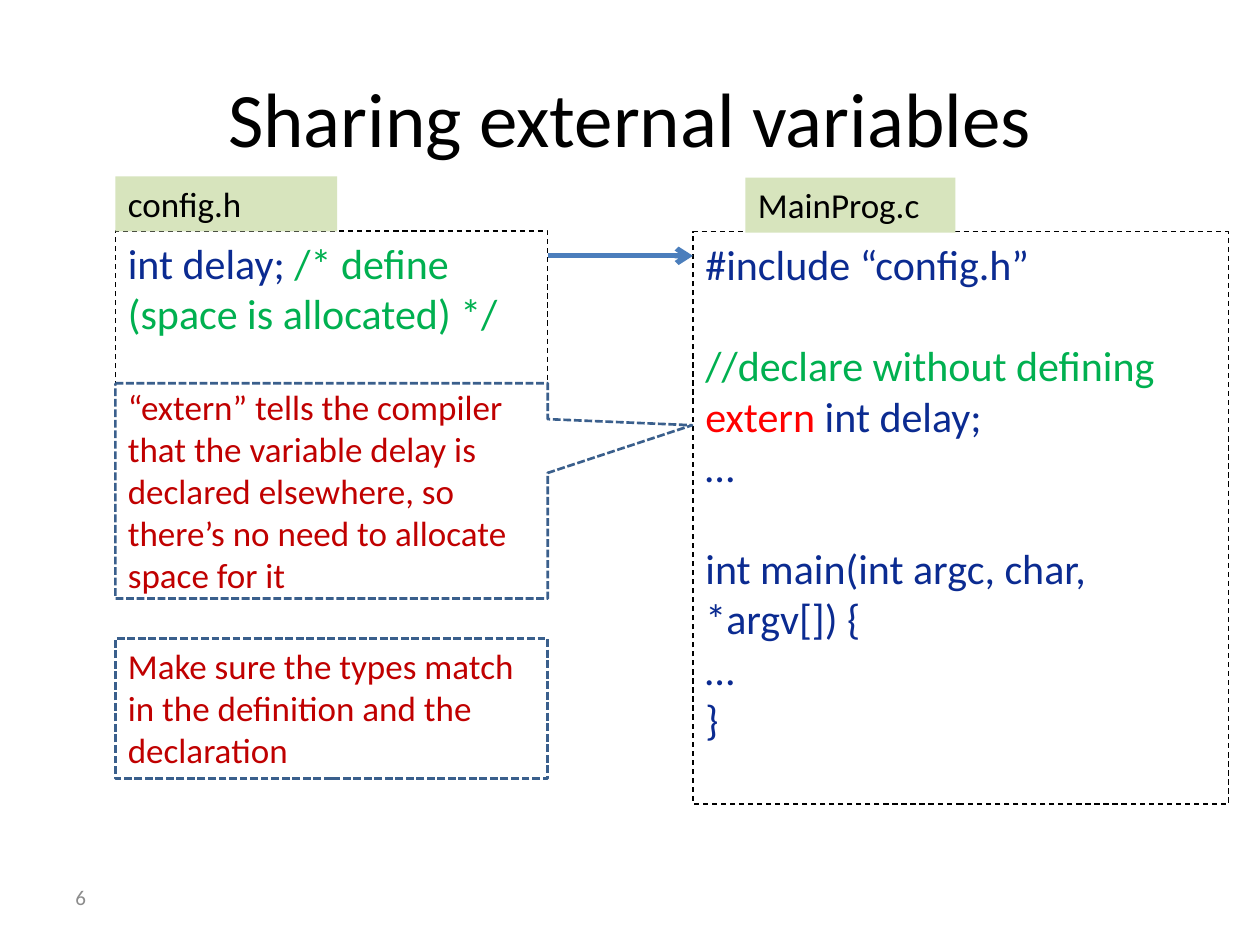
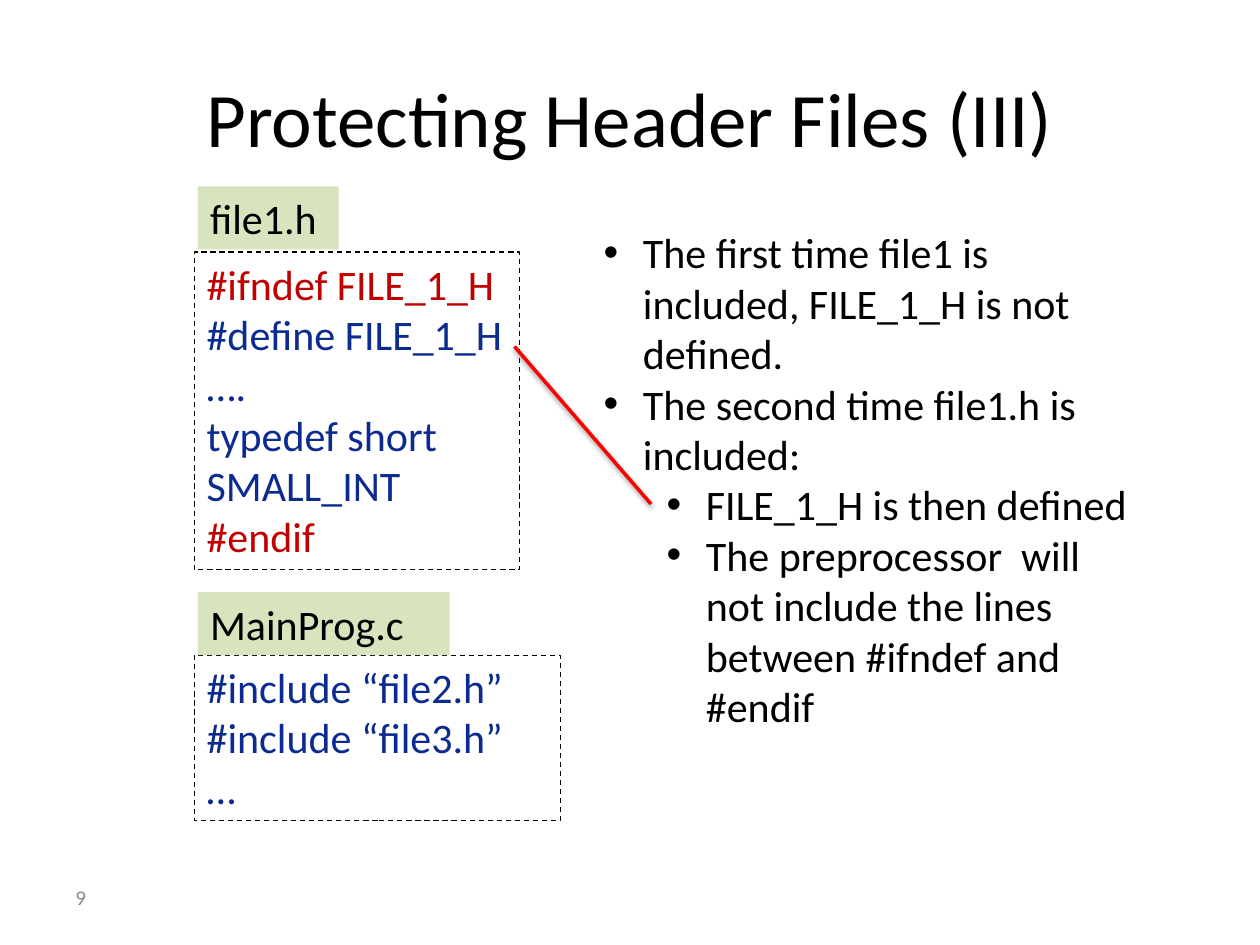
"""Build two slides about sharing variables and protecting header files in C."""
from dataclasses import dataclass

from lxml import etree
from pptx import Presentation
from pptx.dml.color import RGBColor
from pptx.enum.dml import MSO_LINE
from pptx.enum.shapes import MSO_CONNECTOR, MSO_SHAPE
from pptx.enum.text import MSO_ANCHOR, MSO_AUTO_SIZE, PP_ALIGN
from pptx.oxml.ns import qn
from pptx.util import Pt


@dataclass(frozen=True)
class Theme:
    """Colours, font and type sizes (points) shared by the slides."""
    font: str = "Calibri"
    ink: str = "000000"
    paper: str = "FFFFFF"
    muted: str = "8C8C8C"
    code: str = "0B2B91"
    comment: str = "00B050"
    keyword: str = "FF0000"
    note: str = "C00000"
    label_fill: str = "D7E4BD"
    note_line: str = "3A5F8C"
    arrow: str = "4B7EBC"
    title_size: int = 44
    code_size: int = 24
    note_size: int = 20
    number_size: int = 12
    blank_line: float = 29.3


THEME = Theme()
TITLE_ONLY, TITLE_AND_BODY = 5, 1


class Deck:
    """Holds the presentation, its theme and the slide being filled."""

    def __init__(self, theme):
        """Start an empty 4:3 presentation."""
        self.theme = theme
        self.prs = Presentation()
        self.prs.slide_width, self.prs.slide_height = Pt(720), Pt(540)
        self.slide = None

    def new_slide(self, title, number, layout):
        """Add a slide with its title and page number."""
        t = self.theme
        self.slide = self.prs.slides.add_slide(self.prs.slide_layouts[layout])
        heading = self.slide.shapes.title
        self.place(heading, (36, 21.6, 648, 90))
        self.set_text(heading, [title], t.title_size, t.ink,
                      anchor=MSO_ANCHOR.MIDDLE, align=PP_ALIGN.CENTER)
        footer = self.slide.shapes.add_textbox(
            *map(Pt, (36, 498.5, 168, 28.8)))
        self.set_text(footer, [number], t.number_size, t.muted,
                      anchor=MSO_ANCHOR.MIDDLE)

    def place(self, shape, box):
        """Move a shape to (left, top, width, height)."""
        shape.left, shape.top, shape.width, shape.height = map(Pt, box)

    def set_text(self, shape, lines, size, color, anchor=MSO_ANCHOR.TOP,
                 align=PP_ALIGN.LEFT):
        """Set lines of text; a line is text or a list of (text, colour) runs.

        An empty line becomes space before the line that follows it.
        """
        frame = shape.text_frame
        frame.word_wrap = True
        frame.auto_size = MSO_AUTO_SIZE.NONE
        frame.vertical_anchor = anchor
        paragraph, gap = None, 0
        for line in lines:
            if not line:
                gap += self.theme.blank_line
                continue
            paragraph = (frame.add_paragraph() if paragraph is not None
                         else frame.paragraphs[0])
            paragraph.alignment = align
            paragraph.space_before, gap = Pt(gap), 0
            runs = [(line, color)] if isinstance(line, str) else line
            for text, run_color in runs:
                run = paragraph.add_run()
                run.text = text
                run.font.name = self.theme.font
                run.font.size = Pt(size)
                run.font.color.rgb = RGBColor.from_string(run_color)

    def panel(self, box, lines, size, color, fill=None, line=None,
              kind=MSO_SHAPE.RECTANGLE, anchor=MSO_ANCHOR.TOP):
        """Add a text panel; line is (colour, width, dash) or None."""
        shape = self.slide.shapes.add_shape(kind, *map(Pt, box))
        shape.shadow.inherit = False
        if fill:
            shape.fill.solid()
            shape.fill.fore_color.rgb = RGBColor.from_string(fill)
        else:
            shape.fill.background()
        if line:
            line_color, width, dash = line
            shape.line.color.rgb = RGBColor.from_string(line_color)
            shape.line.width = Pt(width)
            shape.line.dash_style = dash
        else:
            shape.line.fill.background()
        self.set_text(shape, lines, size, color, anchor)
        return shape

    def code(self, box, lines):
        """Add a dashed box of source code."""
        t = self.theme
        self.panel(box, lines, t.code_size, t.code,
                   line=(t.ink, 0.75, MSO_LINE.DASH))

    def label(self, box, name, size):
        """Add a green file name tab."""
        self.panel(box, [name], size, self.theme.ink,
                   fill=self.theme.label_fill)

    def note(self, box, text, pointer=None):
        """Add a remark, as a callout when pointer gives its tip."""
        t = self.theme
        style = {"line": (t.note_line, 1.5, MSO_LINE.SQUARE_DOT)}
        if pointer:
            style.update(kind=MSO_SHAPE.RECTANGULAR_CALLOUT, fill=t.paper,
                         anchor=MSO_ANCHOR.MIDDLE)
        shape = self.panel(box, [text], t.note_size, t.note, **style)
        for index, value in enumerate(pointer or ()):
            shape.adjustments[index] = value

    def line(self, start, end, color, width, arrow=False, shadow=False):
        """Draw a straight line, with an arrowhead or a soft shadow."""
        link = self.slide.shapes.add_connector(
            MSO_CONNECTOR.STRAIGHT, *map(Pt, start + end))
        link.line.color.rgb = RGBColor.from_string(color)
        link.line.width = Pt(width)
        props = link.line._get_or_add_ln()
        if arrow:
            etree.SubElement(props, qn("a:tailEnd"), type="arrow")
        effects = etree.SubElement(props.getparent(), qn("a:effectLst"))
        if shadow:
            outer = etree.SubElement(
                effects, qn("a:outerShdw"), blurRad=str(Pt(3.1)),
                dist=str(Pt(1.6)), dir="5400000", rotWithShape="0")
            tint = etree.SubElement(outer, qn("a:srgbClr"),
                                    val=self.theme.ink)
            etree.SubElement(tint, qn("a:alpha"), val="38000")

    def bullets(self, box, items):
        """Fill the body placeholder with (level, text) bullets."""
        body = self.slide.placeholders[1]
        self.place(body, box)
        self.set_text(body, [text for _, text in items],
                      self.theme.code_size, self.theme.ink)
        for paragraph, (level, _) in zip(body.text_frame.paragraphs, items):
            paragraph.level = level
            props = paragraph._p.get_or_add_pPr()
            props.set("marL", str(Pt(22.5 + 36 * level)))
            props.set("indent", str(Pt(-22.5)))
            etree.SubElement(props, qn("a:buFont"), typeface="Arial")
            etree.SubElement(props, qn("a:buChar"), char="•")


def sharing_slide(deck):
    """Show a variable defined in one file and declared in another."""
    t = deck.theme
    left, width = 66, 247
    deck.new_slide("Sharing external variables", "6", TITLE_ONLY)
    deck.code((left, 132, width, 94.3), [
        [("int delay; ", t.code),
         ("/* define (space is allocated) */", t.comment)]])
    deck.code((396, 132.5, 306, 327), [
        "#include “config.h”",
        "",
        [("//declare without defining", t.comment)],
        [("extern ", t.keyword), ("int delay; ", t.code)],
        "…",
        "",
        "int main(int argc, char, *argv[]) {",
        "…",
        "}"])
    deck.label((left, 100.8, 126.7, 31.5), "config.h", t.note_size)
    deck.label((426, 101.5, 120, 31.5), "MainProg.c", t.note_size)
    deck.line((left + width, 146.2), (396, 146.2), t.arrow, 3, arrow=True)
    deck.note((left, 219, width, 123),
              "“extern” tells the compiler that the variable delay is declared "
              "elsewhere, so there’s no need to allocate space for it",
              pointer=(0.834, -0.305))
    deck.note((left, 365, width, 80),
              "Make sure the types match in the definition and the declaration")


def guards_slide(deck):
    """Explain how an include guard works on the second inclusion."""
    t = deck.theme
    code_left, label_left = 111, 113
    deck.new_slide("Protecting Header Files (III)", "9", TITLE_AND_BODY)
    deck.bullets((337.7, 126, 322.6, 298), [
        (0, "The first time file1 is included, FILE_1_H is not defined. "),
        (0, "The second time file1.h is included:"),
        (1, "FILE_1_H is then defined"),
        (1, "The preprocessor  will not include the lines between "
            "#ifndef and #endif")])
    deck.code((code_left, 144, 186, 181.5), [
        [("#ifndef FILE_1_H", t.note)],
        "#define FILE_1_H",
        "….",
        "typedef short SMALL_INT",
        [("#endif", t.note)]])
    deck.label((label_left, 106.5, 80.6, 36), "file1.h", t.code_size)
    deck.code((code_left, 374.4, 209.5, 94.3), [
        "#include “file2.h”", "#include “file3.h”", "…"])
    deck.label((label_left, 338.4, 144, 36), "MainProg.c", t.code_size)
    deck.line((294, 198), (372, 288), t.keyword, 2, shadow=True)


deck = Deck(THEME)
sharing_slide(deck)
guards_slide(deck)
deck.prs.save("out.pptx")
